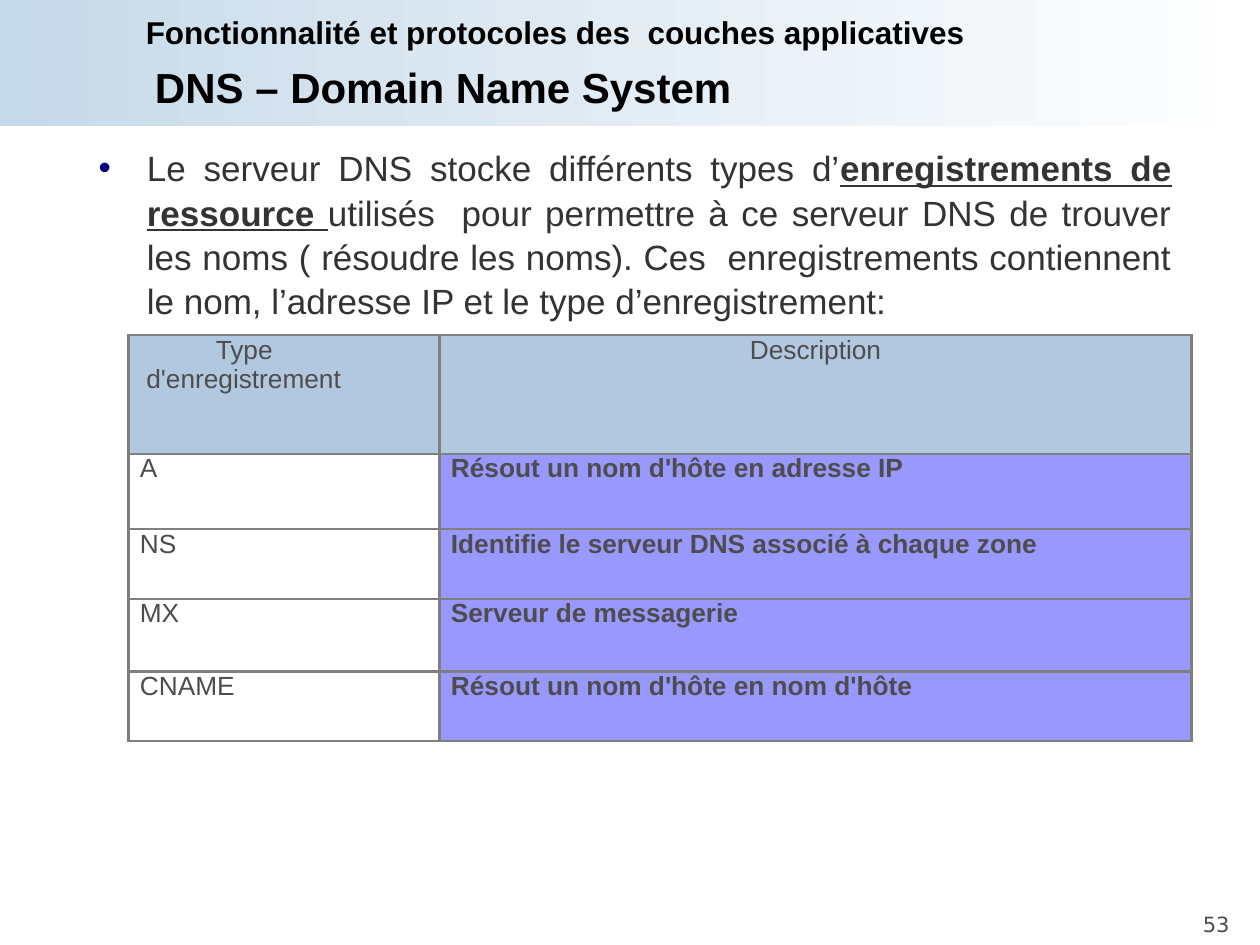
from pptx import Presentation, oxml
from pptx import util as u
from pptx.dml.color import RGBColor
from pptx.enum import shapes, text
from pptx.oxml.ns import qn

BLACK = RGBColor(0x00, 0x00, 0x00)
WHITE = RGBColor(0xFF, 0xFF, 0xFF)
BAND = RGBColor(0xC7, 0xDA, 0xE9)
BODY = RGBColor(0x33, 0x33, 0x33)
GREY = RGBColor(0x4D, 0x4D, 0x4D)
BULLET = RGBColor(0x00, 0x00, 0x7C)
BORDER = RGBColor(0x7F, 0x7F, 0x7F)
HEAD = RGBColor(0xB2, 0xC8, 0xDF)
LILAC = RGBColor(0x98, 0x98, 0xFF)

COLS = [6.27, 15.16]
ROWS = [
    (2.39, "Type  d'enregistrement", "Description"),
    (1.52, "A", "Résout un nom d'hôte en adresse IP"),
    (1.4, "NS", "Identifie le serveur DNS associé à chaque zone"),
    (1.47, "MX", "Serveur de messagerie"),
    (1.4, "CNAME", "Résout un nom d'hôte en nom d'hôte"),
]


def apply(obj, **fmt):
    for name, value in fmt.items():
        setattr(obj, name, value)


def place(sp, x, y, w, h):
    apply(sp, left=u.Cm(x), top=u.Cm(y), width=u.Cm(w), height=u.Cm(h))


def add_run(p, txt, size, color, font="Arial", **fmt):
    r = p.add_run()
    r.text = txt
    apply(r.font, name=font, size=u.Pt(size), **fmt)
    r.font.color.rgb = color


def add_label(s, box, txt, size, color, **fmt):
    sp = s.shapes.add_textbox(*map(u.Cm, box))
    sp.text_frame.word_wrap = True
    add_run(sp.text_frame.paragraphs[0], txt, size, color, **fmt)


def indent(p, left, first):
    pPr = p._p.get_or_add_pPr()
    pPr.set("marL", str(u.Cm(left)))
    pPr.set("indent", str(u.Cm(first)))
    return pPr


def add_header(s, x, y, w, h):
    sp = s.shapes.add_shape(shapes.MSO_SHAPE.RECTANGLE, *map(u.Cm, (x, y, w, h)))
    sp.shadow.inherit = False
    sp.line.fill.background()
    sp.fill.gradient()
    sp.fill.gradient_angle = 0
    for stop, color in zip(sp.fill.gradient_stops, (BAND, WHITE)):
        stop.color.rgb = color
    s.shapes._spTree.insert(2, sp._element)

    add_label(s, (x + 2.69, y + 0.13, w - 2.69, 1.02),
              "Fonctionnalité et protocoles des  couches applicatives",
              18, BLACK, bold=True)

    title = s.shapes.title
    place(title, x + 2.87, y + 1.12, w - 3.94, 1.24)
    tf = title.text_frame
    apply(tf, vertical_anchor=text.MSO_ANCHOR.MIDDLE, word_wrap=True,
          auto_size=text.MSO_AUTO_SIZE.NONE)
    p = tf.paragraphs[0]
    p.alignment = text.PP_ALIGN.LEFT
    add_run(p, "DNS – Domain Name System", 24, BLACK, bold=True)


def add_body(s, x, y, w, h):
    sp = s.placeholders[1]
    place(sp, x, y, w, h)
    tf = sp.text_frame
    apply(tf, margin_left=0, margin_top=0, margin_right=0, margin_bottom=0,
          word_wrap=True, auto_size=text.MSO_AUTO_SIZE.NONE)
    p = tf.paragraphs[0]
    apply(p, alignment=text.PP_ALIGN.JUSTIFY, space_before=u.Pt(0), line_spacing=1.05)
    pPr = indent(p, 0.98, -0.97)
    clr = oxml.xmlchemy.OxmlElement("a:buClr")
    clr.append(oxml.xmlchemy.OxmlElement("a:srgbClr"))
    clr[0].set("val", str(BULLET))
    char = oxml.xmlchemy.OxmlElement("a:buChar")
    char.set("char", "•")
    pPr.extend([clr, char])
    add_run(p, "Le serveur DNS stocke différents types d’", 20, BODY)
    add_run(p, "enregistrements de ressource ", 20, BODY, bold=True, underline=True)
    add_run(p, "utilisés  pour permettre à ce serveur DNS de trouver les noms "
               "( résoudre les noms). Ces  enregistrements contiennent le nom, "
               "l’adresse IP et le type d’enregistrement:", 20, BODY)


def set_borders(cell):
    tcPr = cell._tc.get_or_add_tcPr()
    for side in ("lnL", "lnR", "lnT", "lnB"):
        ln = tcPr.makeelement(qn("a:" + side), {"w": str(u.Pt(1.5))})
        fill = ln.makeelement(qn("a:solidFill"), {})
        fill.append(ln.makeelement(qn("a:srgbClr"), {"val": str(BORDER)}))
        ln.append(fill)
        tcPr.append(ln)


def fill_cell(cell, txt, is_head, is_desc):
    apply(cell, margin_left=0, margin_top=0, margin_right=0, margin_bottom=0)
    set_borders(cell)
    cell.fill.solid()
    cell.fill.fore_color.rgb = HEAD if is_head else LILAC if is_desc else WHITE
    p = cell.text_frame.paragraphs[0]
    if is_head and is_desc:
        p.alignment = text.PP_ALIGN.CENTER
    elif is_head:
        indent(p, 0.36, 1.4)
    else:
        indent(p, 0.23, 0)
    add_run(p, txt, 15, GREY, bold=is_desc and not is_head)


def add_records(s, x, y):
    w, h = sum(COLS), sum(row[0] for row in ROWS)
    tbl = s.shapes.add_table(len(ROWS), len(COLS), *map(u.Cm, (x, y, w, h))).table
    apply(tbl, first_row=False, horz_banding=False)
    for col, width in zip(tbl.columns, COLS):
        col.width = u.Cm(width)
    for i, (height, *texts) in enumerate(ROWS):
        tbl.rows[i].height = u.Cm(height)
        for j, txt in enumerate(texts):
            fill_cell(tbl.cell(i, j), txt, i == 0, j == 1)


def main():
    prs = Presentation()
    apply(prs, slide_width=u.Cm(25.4), slide_height=u.Cm(19.05))
    s = prs.slides.add_slide(prs.slide_layouts[1])
    add_header(s, 0, 0, 25.4, 2.54)
    add_body(s, 1.98, 2.92, 21.64, 3.43)
    add_records(s, 2.59, 6.76)
    add_label(s, (24, 18.26, 1.4, 0.76), "53", 12, GREY, font="DejaVu Sans")
    prs.save("out.pptx")


if __name__ == "__main__":
    main()
